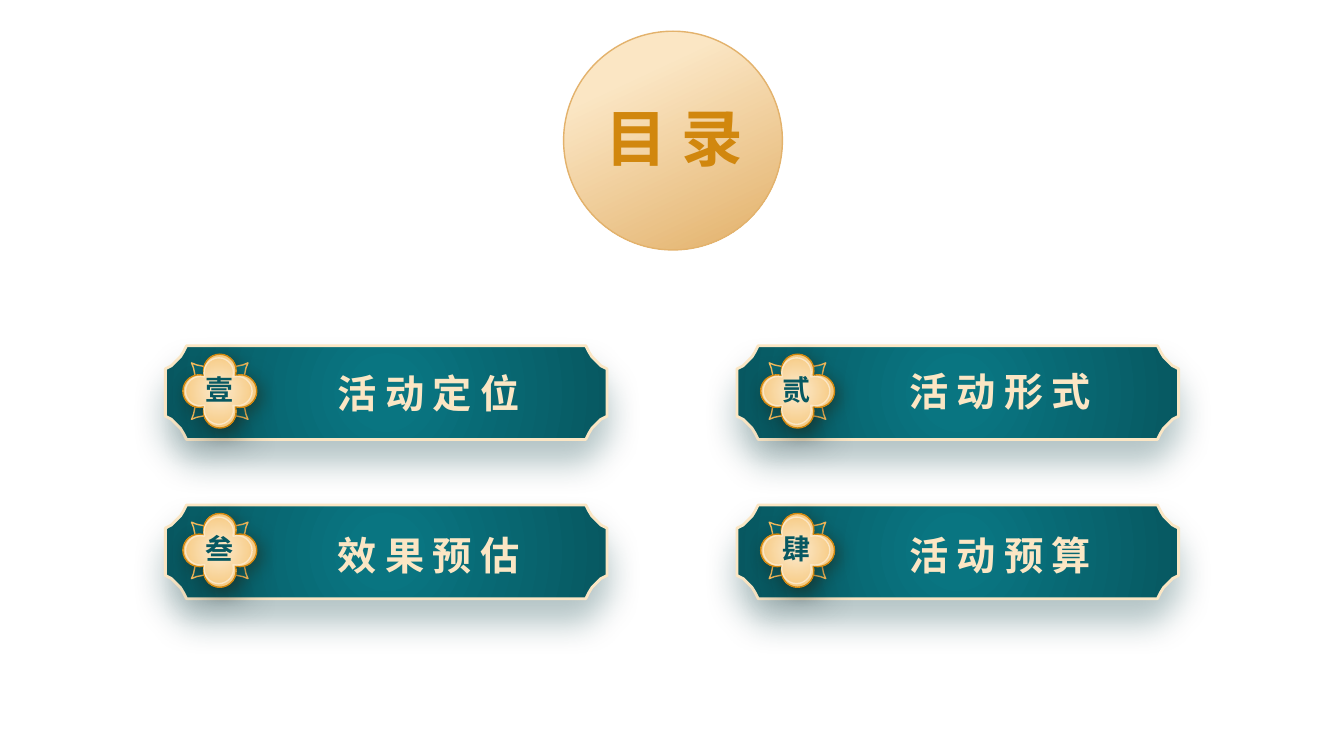
from dataclasses import dataclass
from math import cos, radians, sin

from lxml import etree
from pptx import Presentation
from pptx.dml.color import RGBColor
from pptx.enum.shapes import MSO_SHAPE
from pptx.enum.text import MSO_ANCHOR, PP_ALIGN
from pptx.oxml.ns import qn
from pptx.util import Inches, Pt

OVAL = MSO_SHAPE.OVAL
MIDDLE = MSO_ANCHOR.MIDDLE
CENTER = PP_ALIGN.CENTER
FONT = "Noto Sans CJK SC"

CREAM = RGBColor(0xFB, 0xE6, 0xC4)
SAND = RGBColor(0xE3, 0xB2, 0x6C)
GOLD = RGBColor(0xF4, 0xBA, 0x5B)
AMBER = RGBColor(0xD1, 0x87, 0x0E)
TEAL = RGBColor(0x09, 0x75, 0x81)
DARK_TEAL = RGBColor(0x07, 0x58, 0x61)
BANNER_SHADE = RGBColor(0x04, 0x3B, 0x40)
STAR_SHADE = RGBColor(0x10, 0x26, 0x28)
FLOWER_SHADE = RGBColor(0x2A, 0x1B, 0x03)

Points = list[tuple[float, float]]

BANNER_W, BANNER_H = 4.38, 0.93
NOTCH = [(0.21, 0), (0.18, 0.06), (0.15, 0.11), (0.1, 0.16), (0.06, 0.2), (0, 0.23)]
STAR_EDGE = [(0.28, -0.28), (0.26, -0.23), (0.25, -0.18), (0.24, -0.13),
             (0.235, -0.08), (0.23, -0.02), (0.21, 0)]


@dataclass
class Gradient:
    stops: list[tuple[int, RGBColor]]
    angle: int | None = None


@dataclass
class Shadow:
    color: RGBColor
    alpha: int
    blur: int
    distance: int
    angle: int


@dataclass
class Look:
    gradient: Gradient
    line: RGBColor
    width: int = 1
    shadow: Shadow | None = None
    rotation: int = 0


@dataclass
class Entry:
    numeral: str
    title: str
    left: float
    top: float
    badge_x: float
    title_top: float


DISC = Look(Gradient([(24, CREAM), (97, SAND)], 65), SAND)
BANNER = Look(Gradient([(12, TEAL), (100, DARK_TEAL)]), CREAM, 2,
              Shadow(BANNER_SHADE, 30, 24, 16, 90))
STAR = Look(Gradient([(14, DARK_TEAL), (83, TEAL)], 45), GOLD, 1,
            Shadow(STAR_SHADE, 40, 25, 15, 90), 270)
FLOWER = Look(Gradient([(10, CREAM), (86, GOLD)]), AMBER, 1,
              Shadow(FLOWER_SHADE, 40, 12, 4, 45), 135)
FLOWER_CORE = Look(Gradient([(10, CREAM), (100, GOLD)]), CREAM, rotation=135)
TITLE_GRADIENT = Gradient([(0, GOLD), (20, CREAM), (89, GOLD), (100, AMBER)], 90)

ENTRIES = [
    Entry("壹", "活动定位", 1.64, 3.43, 2.18, 3.61),
    Entry("贰", "活动形式", 7.31, 3.43, 7.91, 3.59),
    Entry("叁", "效果预估", 1.64, 5.01, 2.18, 5.22),
    Entry("肆", "活动预算", 7.31, 5.01, 7.91, 5.22),
]


def add_color(parent, color: RGBColor):
    return etree.SubElement(parent, qn("a:srgbClr"), val=str(color))


def gradient_xml(gradient: Gradient):
    fill = etree.Element(qn("a:gradFill"), rotWithShape="1")
    stops = etree.SubElement(fill, qn("a:gsLst"))
    for pos, color in gradient.stops:
        add_color(etree.SubElement(stops, qn("a:gs"), pos=str(pos * 1000)), color)
    if gradient.angle is None:
        radial = etree.SubElement(fill, qn("a:path"), path="circle")
        etree.SubElement(radial, qn("a:fillToRect"), {side: "50000" for side in "ltrb"})
    else:
        etree.SubElement(fill, qn("a:lin"), ang=str(gradient.angle * 60000), scaled="0")
    return fill


def style(sp, look: Look) -> None:
    sp.rotation = look.rotation
    sp.line.color.rgb = look.line
    sp.line.width = Pt(look.width)
    sp.shadow.inherit = False
    props = sp._element.spPr
    props.find(qn("a:ln")).addprevious(gradient_xml(look.gradient))
    if look.shadow:
        shadow = look.shadow
        outer = etree.SubElement(
            props.find(qn("a:effectLst")), qn("a:outerShdw"),
            blurRad=str(Pt(shadow.blur)), dist=str(Pt(shadow.distance)),
            dir=str(shadow.angle * 60000), algn="ctr", rotWithShape="0")
        etree.SubElement(add_color(outer, shadow.color), qn("a:alpha"),
                         val=str(shadow.alpha * 1000))


def add_outline(shapes, cx: float, cy: float, points: Points, look: Look) -> None:
    spots = [(Inches(cx + x), Inches(cy + y)) for x, y in points]
    builder = shapes.build_freeform(*spots[0])
    builder.add_line_segments(spots[1:], close=True)
    style(builder.convert_to_shape(), look)


def banner_points() -> Points:
    corner = [(BANNER_W / 2 - x, y - BANNER_H / 2) for x, y in NOTCH]
    right = corner + [(x, -y) for x, y in reversed(corner)]
    return right + [(-x, -y) for x, y in right]


def star_points() -> Points:
    points = []
    side = STAR_EDGE + [(x, -y) for x, y in STAR_EDGE[-2:0:-1]]
    for _ in range(4):
        points += side
        side = [(-y, x) for x, y in side]
    return points


def flower_points(size: float) -> Points:
    reach, radius = size * 0.335, size * 0.265
    points = []
    for petal in range(45, 360, 90):
        for step in range(-8, 9):
            turn = radians(petal + step * 13.25)
            points.append((reach * cos(radians(petal)) + radius * cos(turn),
                           reach * sin(radians(petal)) + radius * sin(turn)))
    return points


def add_text(shapes, box: tuple[float, float, float, float], text: str, size: int,
             fill: RGBColor | Gradient, spacing: int = 0) -> None:
    tf = shapes.add_textbox(*map(Inches, box)).text_frame
    tf.word_wrap = True
    tf.vertical_anchor = MIDDLE
    tf.margin_top = tf.margin_bottom = 0
    p = tf.paragraphs[0]
    p.alignment = CENTER
    r = p.add_run()
    r.text = text
    r.font.size = Pt(size)
    r.font.bold = True
    r.font.name = FONT
    props = r.font._element
    etree.SubElement(props, qn("a:ea"), typeface=FONT)
    if spacing:
        props.set("spc", str(spacing * 100))
    if isinstance(fill, Gradient):
        props.insert(0, gradient_xml(fill))
    else:
        r.font.color.rgb = fill


def add_entry(shapes, entry: Entry) -> None:
    cy = entry.top + BANNER_H / 2
    add_outline(shapes, entry.left + BANNER_W / 2, cy, banner_points(), BANNER)
    badge = shapes.add_group_shape().shapes
    badge_y = entry.top + 0.45
    add_outline(badge, entry.badge_x, badge_y, star_points(), STAR)
    add_outline(badge, entry.badge_x, badge_y, flower_points(0.61), FLOWER)
    add_outline(badge, entry.badge_x - 0.01, badge_y, flower_points(0.55), FLOWER_CORE)
    add_text(shapes, (entry.left + 1.25, entry.title_top, 2.72, 0.57),
             entry.title, 28, TITLE_GRADIENT, 6)
    add_text(shapes, (entry.badge_x - 0.53, entry.top + 0.23, 1.05, 0.4),
             entry.numeral, 20, DARK_TEAL)


def main() -> None:
    prs = Presentation()
    prs.slide_width, prs.slide_height = Inches(13.33), Inches(7.5)
    s = prs.slides.add_slide(prs.slide_layouts[6])
    disc = s.shapes.add_shape(OVAL, Inches(5.59), Inches(0.31), Inches(2.17), Inches(2.17))
    style(disc, DISC)
    add_text(s.shapes, (4.74, 0.94, 3.9, 0.84), "目 录", 44, AMBER)
    for entry in ENTRIES:
        add_entry(s.shapes, entry)
    prs.save("out.pptx")


if __name__ == "__main__":
    main()
